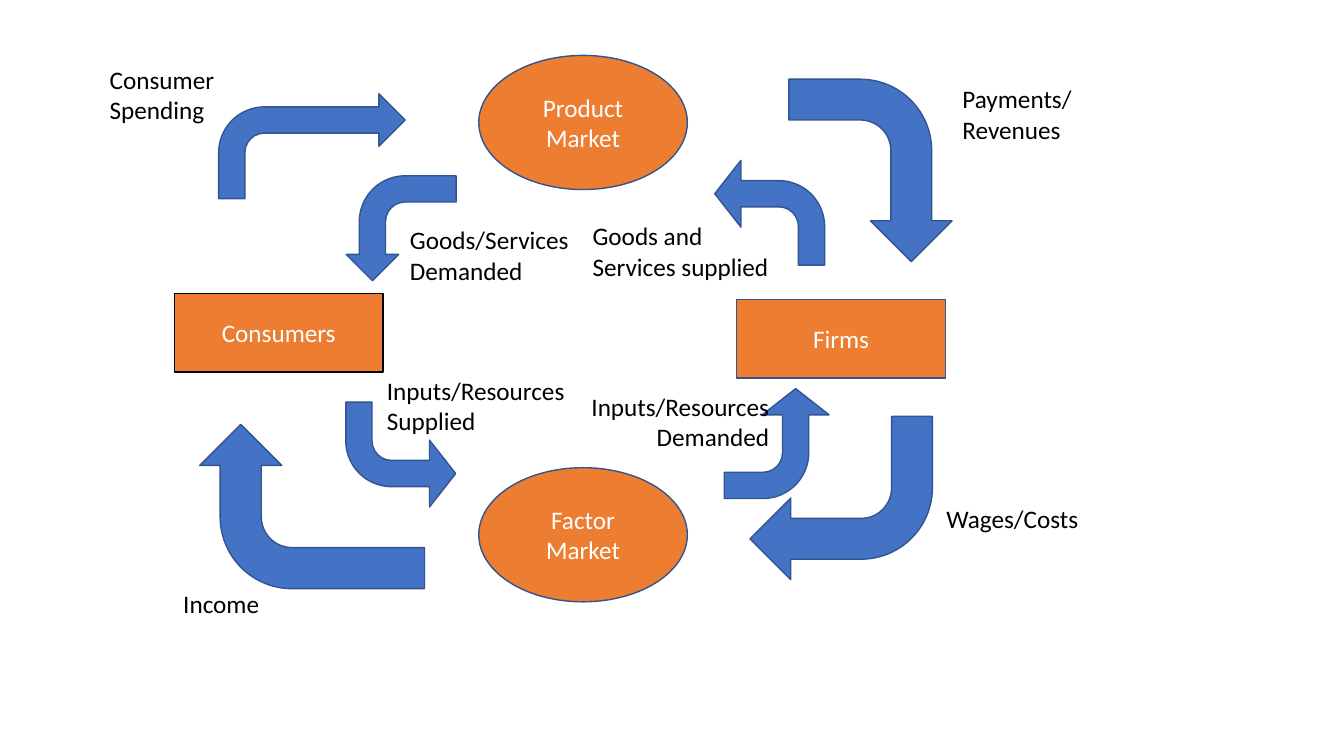
from pptx import Presentation
from pptx.dml.color import RGBColor
from pptx.enum.shapes import MSO_SHAPE
from pptx.enum.text import MSO_ANCHOR, MSO_AUTO_SIZE, PP_ALIGN
from pptx.oxml.ns import qn
from pptx.util import Pt

OVAL, RECTANGLE, BENT_ARROW = MSO_SHAPE.OVAL, MSO_SHAPE.RECTANGLE, MSO_SHAPE.BENT_ARROW
MIDDLE, FIT_TEXT = MSO_ANCHOR.MIDDLE, MSO_AUTO_SIZE.SHAPE_TO_FIT_TEXT
LEFT, CENTER, RIGHT = PP_ALIGN.LEFT, PP_ALIGN.CENTER, PP_ALIGN.RIGHT

ORANGE = RGBColor(0xED, 0x7D, 0x31)
BLUE = RGBColor(0x44, 0x72, 0xC4)
DARK_BLUE = RGBColor(0x32, 0x54, 0x91)
BLACK = RGBColor(0, 0, 0)
WHITE = RGBColor(0xFF, 0xFF, 0xFF)

deck = Presentation()
deck.slide_width, deck.slide_height = Pt(960), Pt(540)
page = deck.slides.add_slide(deck.slide_layouts[6])


def add_figure(kind, left, top, width, height, fill, line):
    figure = page.shapes.add_shape(kind, Pt(left), Pt(top), Pt(width), Pt(height))
    figure.shadow.inherit = False
    figure.fill.solid()
    figure.fill.fore_color.rgb = fill
    figure.line.color.rgb = line
    figure.line.width = Pt(1)
    return figure


def write(box, text, color, align):
    box.text_frame.text = text
    font_format = {"name": "Calibri", "size": Pt(18)}
    for para in box.text_frame.paragraphs:
        para.alignment = align
        for span in para.runs:
            span.font.color.rgb = color
            for name, value in font_format.items():
                setattr(span.font, name, value)


node_width = 149
nodes = [
    (OVAL, "Product Market", 342, 39.6, 95.8, DARK_BLUE),
    (OVAL, "Factor Market", 342, 334.1, 95.8, DARK_BLUE),
    (RECTANGLE, "Consumers", 124.6, 209.5, 56.2, BLACK),
    (RECTANGLE, "Firms", 526.3, 213.8, 56.2, DARK_BLUE),
]
for kind, text, left, top, height, line in nodes:
    node = add_figure(kind, left, top, node_width, height, ORANGE, line)
    node.text_frame.vertical_anchor = MIDDLE
    node.text_frame.word_wrap = True
    write(node, text, WHITE, CENTER)

even_bend, wide_head = (0.25, 0.25, 0.25, 0.4375), (0.25, 0.319, 0.25, 0.4375)
arrows = [
    (156.2, 67, 133.2, 74.9, 0, False, even_bend),
    (249.1, 123.8, 74.9, 78.5, 90, True, even_bend),
    (556.6, 63.4, 130.3, 116.6, 90, False, even_bend),
    (510.5, 114.5, 78.5, 74.9, 180, True, wide_head),
    (535.7, 297.4, 130.3, 116.6, 180, False, even_bend),
    (247, 287.3, 78.5, 74.9, 0, True, wide_head),
    (515.5, 279.4, 78.5, 74.9, 270, True, wide_head),
    (164.2, 281.5, 117.4, 160.6, 270, False, even_bend),
]
for left, top, width, height, rotation, flipped, bend in arrows:
    arrow = add_figure(BENT_ARROW, left, top, width, height, BLUE, DARK_BLUE)
    arrow.rotation = rotation
    if flipped:
        arrow.element.spPr.find(qn("a:xfrm")).set("flipV", "1")
    for index, value in enumerate(bend):
        arrow.adjustments[index] = value

one_line, two_lines = 28.8, 51.1
labels = [
    ("Payments/\nRevenues", 680.4, 56.2, 93.6, two_lines, LEFT, False),
    ("Goods and\nServices supplied", 416.2, 154.1, 141.8, two_lines, LEFT, False),
    ("Wages/Costs", 668.9, 355.7, 115.2, one_line, LEFT, True),
    ("Consumer\nSpending", 71.3, 42.5, 115.2, two_lines, LEFT, True),
    ("Goods/Services Demanded", 285.8, 157, 154.1, two_lines, LEFT, True),
    ("Income", 123.8, 416.9, 79.9, one_line, LEFT, True),
    ("Inputs/Resources Supplied", 269.3, 264.2, 149, two_lines, LEFT, True),
    ("Inputs/Resources Demanded", 414.7, 275.8, 141.8, two_lines, RIGHT, True),
]
for text, left, top, width, height, align, wrap in labels:
    label = page.shapes.add_textbox(Pt(left), Pt(top), Pt(width), Pt(height))
    label.text_frame.word_wrap = wrap
    label.text_frame.auto_size = FIT_TEXT
    write(label, text, BLACK, align)

deck.save("out.pptx")
